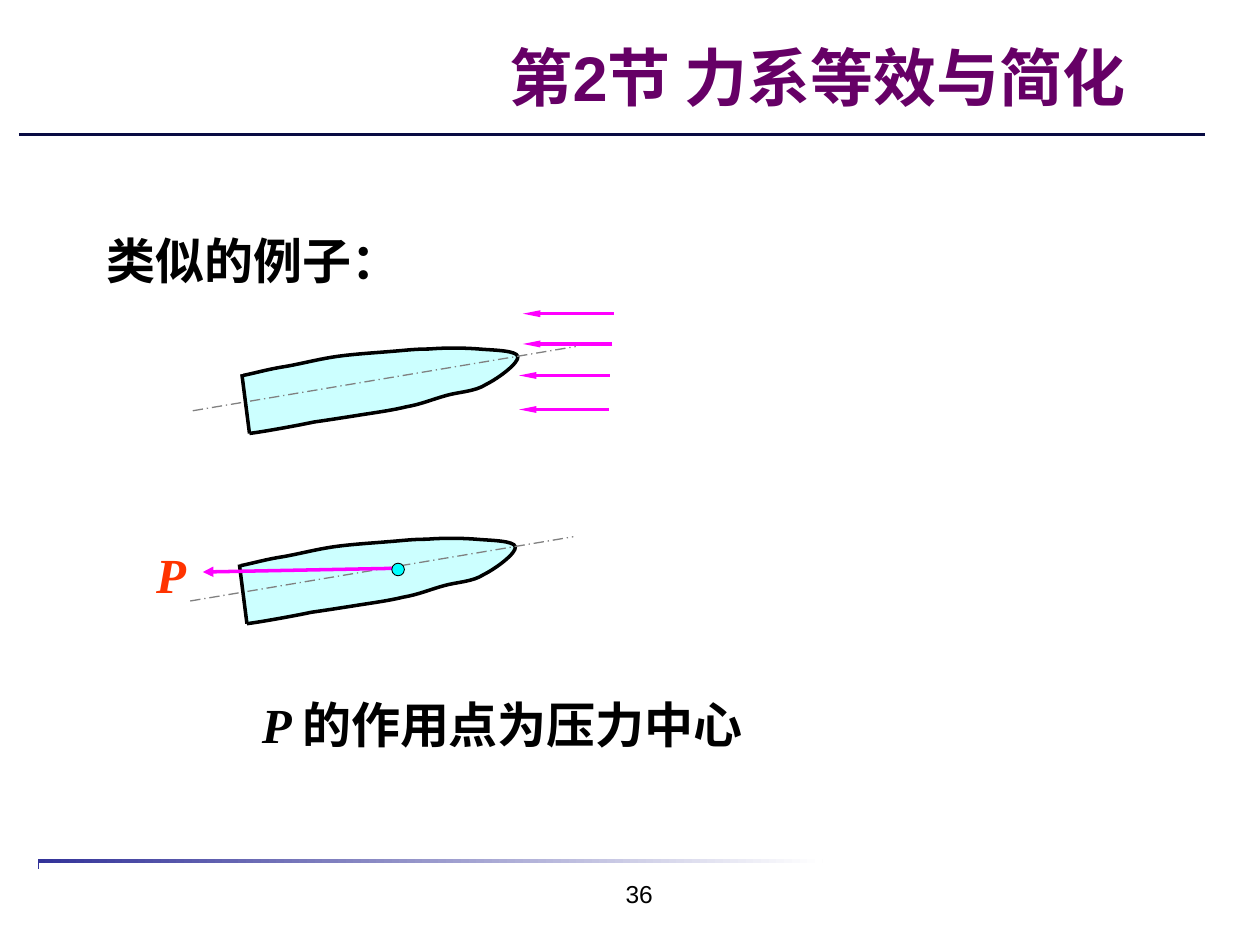
"""Build the slide on equivalent force systems with two shell bodies under pressure."""
from lxml.etree import SubElement
from pptx import Presentation
from pptx.dml.color import RGBColor
from pptx.enum.dml import MSO_LINE
from pptx.enum.shapes import MSO_CONNECTOR, MSO_SHAPE
from pptx.enum.text import MSO_ANCHOR, PP_ALIGN
from pptx.oxml.ns import qn
from pptx.util import Inches, Pt

rgb = RGBColor.from_string
MAGENTA = "FF00FF"


def add_line(shapes, start, end, color, width, head=None):
    ends = [Inches(value) for value in (*start, *end)]
    line = shapes.add_connector(MSO_CONNECTOR.STRAIGHT, *ends)
    line.line.color.rgb = rgb(color)
    line.line.width = Pt(width)
    if head:
        SubElement(line.line._get_or_add_ln(), qn("a:tailEnd"), type="triangle", w=head[0], len=head[1])
    SubElement(line._element.spPr, qn("a:effectLst"))
    return line


def add_text(shapes, box, runs, size, font, color, bold=True, align=PP_ALIGN.LEFT, wrap=True):
    frame = shapes.add_textbox(*[Inches(value) for value in box]).text_frame
    frame.word_wrap = wrap
    paragraph = frame.paragraphs[0]
    paragraph.alignment = align
    for words, italic in runs:
        run = paragraph.add_run()
        run.text = words
        run.font.size = Pt(size)
        run.font.name = font
        run.font.bold = bold
        run.font.italic = italic
        run.font.color.rgb = rgb(color)
    return frame


prs = Presentation()
prs.slide_width, prs.slide_height = Inches(10), Inches(7.5)
slide = prs.slides.add_slide(prs.slide_layouts[6])
shapes = slide.shapes

footer_bar = shapes.add_shape(MSO_SHAPE.RECTANGLE, Inches(0.3), Inches(6.82), Inches(6.23), Inches(0.08))
footer_bar.shadow.inherit = False
footer_bar.line.fill.background()
footer_bar.fill.gradient()
footer_bar.fill.gradient_angle = 0
for stop, color in zip(footer_bar.fill.gradient_stops, ("333399", "FFFFFF")):
    stop.color.rgb = rgb(color)
add_line(shapes, (0.31, 6.9), (6.61, 6.9), "FFFFFF", 7)
add_line(shapes, (0.15, 1.07), (9.56, 1.07), "080B42", 1.5)

title = add_text(shapes, (3.46, 0.21, 6.06, 0.79), [("第2节 力系等效与简化", False)],
                 36, "Arial", "660066", align=PP_ALIGN.CENTER)
title.vertical_anchor = MSO_ANCHOR.MIDDLE
add_text(shapes, (2.95, 6.93, 2.33, 0.52), [("36", False)], 14, "Arial", "000000",
         bold=False, align=PP_ALIGN.RIGHT)
add_text(shapes, (1.98, 5.46, 4.12, 0.57), [("P ", True), ("的作用点为压力中心", False)],
         28, "Times New Roman", "000000", wrap=False)

hull_start = (1.93, 2.98)
hull_curves = [
    ((2.03, 2.96), (2.13, 2.93), (2.26, 2.91)),
    ((2.38, 2.89), (2.53, 2.85), (2.67, 2.83)),
    ((2.81, 2.81), (2.98, 2.8), (3.1, 2.79)),
    ((3.23, 2.78), (3.29, 2.77), (3.41, 2.77)),
    ((3.52, 2.76), (3.68, 2.76), (3.8, 2.77)),
    ((3.91, 2.78), (4.1, 2.78), (4.11, 2.83)),
    ((4.12, 2.88), (3.96, 3), (3.86, 3.05)),
    ((3.77, 3.11), (3.64, 3.11), (3.54, 3.14)),
    ((3.43, 3.17), (3.34, 3.21), (3.22, 3.23)),
    ((3.1, 3.26), (2.94, 3.28), (2.82, 3.3)),
    ((2.69, 3.32), (2.63, 3.33), (2.49, 3.35)),
    ((2.35, 3.38), (2.07, 3.43), (1.98, 3.44)),
]

bodies = []
for dx, dy in ((0, 0), (-0.02, 1.51)):
    body = shapes.add_group_shape().shapes
    builder = body.build_freeform(Inches(hull_start[0] + dx), Inches(hull_start[1] + dy))
    builder.add_line_segments([(Inches(x + dx), Inches(y + dy)) for *_, (x, y) in hull_curves], close=False)
    hull = builder.convert_to_shape()
    segments = list(hull._element.iter(qn("a:lnTo")))
    for segment, (*controls, _) in zip(segments, hull_curves):
        segment.tag = qn("a:cubicBezTo")
        end_point = segment[0]
        for x, y in controls:
            control = SubElement(segment, qn("a:pt"))
            control.set("x", str(Inches(x + dx) - hull.left))
            control.set("y", str(Inches(y + dy) - hull.top))
        segment.append(end_point)
    hull.shadow.inherit = False
    hull.fill.solid()
    hull.fill.fore_color.rgb = rgb("CCFFFF")
    hull.line.color.rgb = rgb("000000")
    hull.line.width = Pt(2)
    axis_line = add_line(body, (1.53 + dx, 3.26 + dy), (4.57 + dx, 2.75 + dy), "808080", 0.75)
    axis_line.line.dash_style = MSO_LINE.LONG_DASH_DOT
    add_line(body, (1.98 + dx, 3.44 + dy), (1.92 + dx, 2.97 + dy), "000000", 2)
    bodies.append(body)
pressed_body, resultant_body = bodies

for tail_x, tip_x, y in ((4.87, 4.15, 2.49), (4.86, 4.15, 2.73), (4.84, 4.12, 2.98), (4.83, 4.12, 3.25)):
    add_line(pressed_body, (tail_x, y), (tip_x, y), MAGENTA, 1.75, head=("sm", "lg"))

add_text(resultant_body, (1.14, 4.27, 0.44, 0.57), [("P", True)], 28, "Times New Roman", "FF3300", wrap=False)
add_line(resultant_body, (3.16, 4.51), (1.61, 4.54), MAGENTA, 2, head=("med", "med"))
pressure_center = resultant_body.add_shape(MSO_SHAPE.OVAL, Inches(3.11), Inches(4.47), Inches(0.1), Inches(0.1))
pressure_center.shadow.inherit = False
pressure_center.fill.solid()
pressure_center.fill.fore_color.rgb = rgb("00FFFF")
pressure_center.line.color.rgb = rgb("000000")
pressure_center.line.width = Pt(0.5)

add_text(shapes, (0.75, 1.78, 2.62, 0.57), [("类似的例子：", False)], 28, "Times New Roman", "000000")

prs.save("out.pptx")
